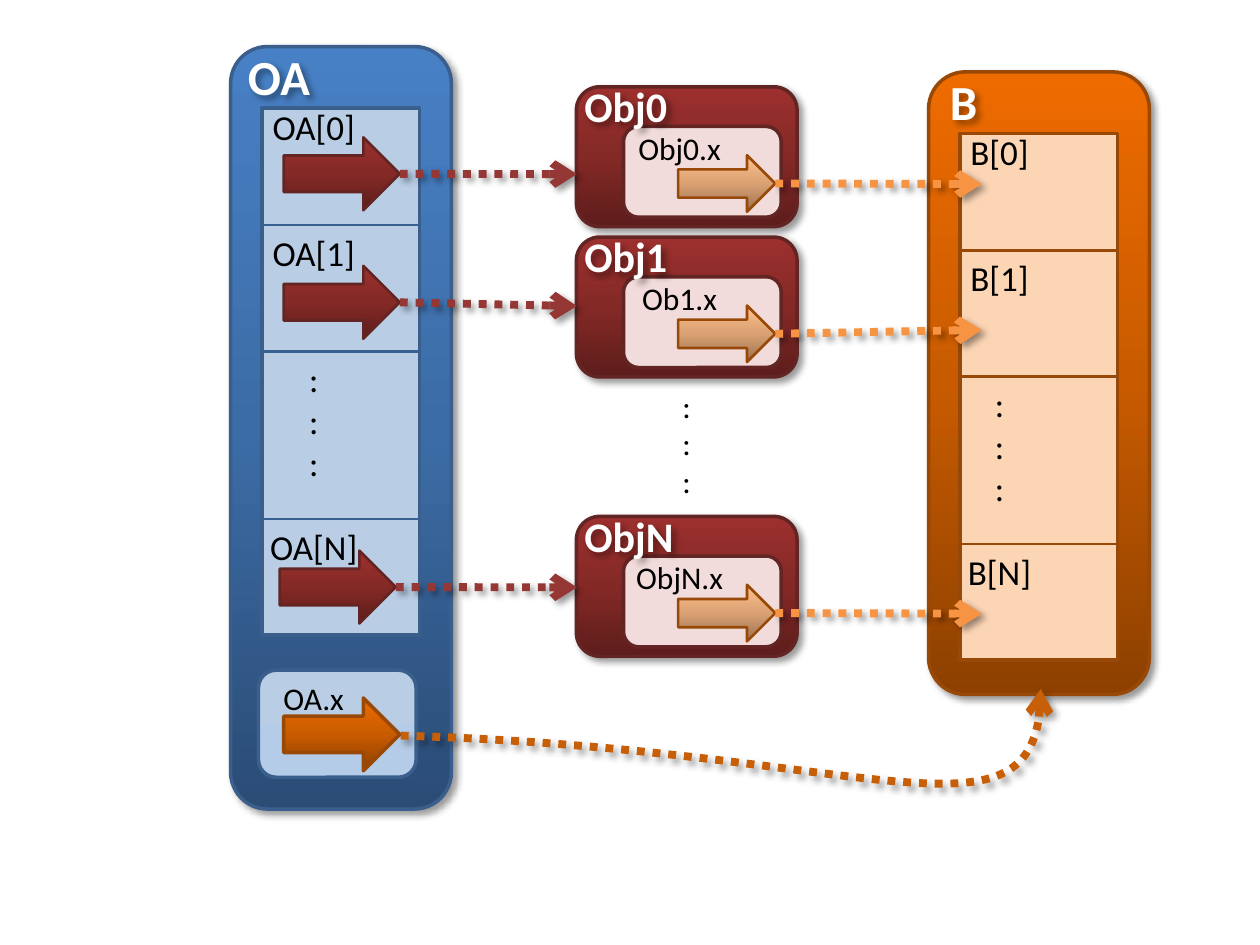
from dataclasses import dataclass

from lxml import etree
from pptx import Presentation
from pptx.dml.color import RGBColor
from pptx.enum.dml import MSO_LINE
from pptx.enum.shapes import MSO_CONNECTOR, MSO_SHAPE
from pptx.enum.text import MSO_AUTO_SIZE, PP_ALIGN
from pptx.oxml import parse_xml
from pptx.oxml.ns import nsdecls, qn
from pptx.util import Cm, Pt

ROUND, RECT, ARROW = MSO_SHAPE.ROUNDED_RECTANGLE, MSO_SHAPE.RECTANGLE, MSO_SHAPE.RIGHT_ARROW
STRAIGHT = MSO_CONNECTOR.STRAIGHT
DOTTED = MSO_LINE.ROUND_DOT
LEFT, CENTER = PP_ALIGN.LEFT, PP_ALIGN.CENTER
FIT = MSO_AUTO_SIZE.SHAPE_TO_FIT_TEXT
RIGHT_SITE = 3


@dataclass(frozen=True)
class Theme:
    font: str = "Calibri"
    black: str = "000000"
    white: str = "FFFFFF"
    blue: tuple = ("2A4C75", "3C6CA6", "4780C5")
    blue_line: str = "3A5F8C"
    blue_rule: str = "376092"
    blue_cell: str = "B9CDE5"
    blue_field: tuple = ("B5CCE8", "B9CDE5")
    red: tuple = ("5D1D1B", "842926", "9C302E")
    red_line: str = "632523"
    red_link: str = "953735"
    red_field: str = "F2DCDB"
    orange: tuple = ("8D4000", "C85B00", "EE6B00")
    orange_line: str = "984807"
    orange_cell: str = "FCD5B5"
    orange_curve: str = "C75F09"
    peach: tuple = ("997151", "DAA173", "FFC08B")
    peach_link: str = "F79443"
    heading: int = 28
    subheading: int = 24
    cell: int = 20
    field: int = 18
    border: float = 2
    thin: float = 1.5
    link: float = 4.5


T = Theme()


class Diagram:
    def __init__(self, slide, theme):
        self.s, self.t = slide, theme

    def outline(self, line, color, width):
        line.color.rgb = RGBColor.from_string(color)
        line.width = Pt(width)

    def shadow(self):
        return parse_xml(
            f'<a:effectLst {nsdecls("a")}><a:outerShdw blurRad="{Pt(4)}" dist="{Pt(3)}" '
            'dir="2700000" algn="tl" rotWithShape="0"><a:srgbClr val="000000">'
            '<a:alpha val="40000"/></a:srgbClr></a:outerShdw></a:effectLst>')

    def gradient(self, colors):
        last = len(colors) - 1
        stops = "".join(f'<a:gs pos="{100000 * i // last}"><a:srgbClr val="{c}"/></a:gs>'
                        for i, c in enumerate(colors))
        return parse_xml(f'<a:gradFill {nsdecls("a")}><a:gsLst>{stops}</a:gsLst>'
                         '<a:lin ang="16200000" scaled="0"/></a:gradFill>')

    def effects(self, spPr, shadow):
        for old in spPr.findall(qn("a:effectLst")):
            spPr.remove(old)
        if shadow:
            spPr.append(self.shadow())
        else:
            etree.SubElement(spPr, qn("a:effectLst"))

    def box(self, kind, x, y, w, h, fill, line, width=T.border, shadow=False):
        sp = self.s.shapes.add_shape(kind, Cm(x), Cm(y), Cm(w), Cm(h))
        if isinstance(fill, tuple):
            sp._element.spPr.find(qn("a:prstGeom")).addnext(self.gradient(fill))
        else:
            sp.fill.solid()
            sp.fill.fore_color.rgb = RGBColor.from_string(fill)
        self.outline(sp.line, line, width)
        self.effects(sp._element.spPr, shadow)
        return sp

    def text(self, x, y, w, h, lines, size, align=CENTER, heading=False, gaps=None):
        sp = self.s.shapes.add_textbox(Cm(x), Cm(y), Cm(w), Cm(h))
        tf = sp.text_frame
        tf.word_wrap, tf.auto_size = False, FIT
        color = self.t.white if heading else self.t.black
        style = {"name": self.t.font, "size": Pt(size), "bold": heading}
        for i, line in enumerate(lines):
            p = tf.paragraphs[0] if i == 0 else tf.add_paragraph()
            p.alignment = align
            if gaps:
                p.space_before = Pt(gaps[i])
            r = p.add_run()
            r.text = line
            for key, value in style.items():
                setattr(r.font, key, value)
            r.font.color.rgb = RGBColor.from_string(color)
        if heading:
            self.effects(sp._element.spPr, True)

    def heading(self, x, y, w, h, label, size):
        self.text(x, y, w, h, [label], size, LEFT, True)

    def rule(self, x, y, w, color):
        cn = self.s.shapes.add_connector(STRAIGHT, Cm(x), Cm(y), Cm(x + w), Cm(y))
        self.outline(cn.line, color, self.t.thin)
        self.effects(cn._element.spPr, False)

    def dotted(self, sp, color):
        self.outline(sp.line, color, self.t.link)
        sp.line.dash_style = DOTTED
        spPr = sp._element.spPr
        etree.SubElement(spPr.find(qn("a:ln")), qn("a:tailEnd"), type="arrow")
        self.effects(spPr, True)

    def link(self, source, x, y, color):
        cn = self.s.shapes.add_connector(STRAIGHT, 0, 0, Cm(x), Cm(y))
        cn.begin_connect(source, RIGHT_SITE)
        self.dotted(cn, color)

    def curve(self, start, bend1, bend2, end, bottom, color):
        fb = self.s.shapes.build_freeform(Cm(start[0]), Cm(start[1]))
        fb.add_line_segments([(Cm(bend1[0]), Cm(bottom)), (Cm(end[0]), Cm(end[1]))], close=False)
        sp = fb.convert_to_shape()
        sp.fill.background()
        segments = list(sp._element.iter(qn("a:lnTo")))
        bezier = etree.Element(qn("a:cubicBezTo"))
        for x, y in (bend1, bend2, end):
            etree.SubElement(bezier, qn("a:pt"), x=str(Cm(x) - sp.left), y=str(Cm(y) - sp.top))
        segments[0].addprevious(bezier)
        for segment in segments:
            segment.getparent().remove(segment)
        self.dotted(sp, color)

    def array(self, name, x, y, h, fill, cell, line, rule, indent, title_w, label_w):
        self.box(ROUND, x, y, 4.45, h, fill, line, shadow=True)
        self.heading(x + indent, y - 0.13, title_w, 1.45, name, self.t.heading)
        left, top = x + 0.63, y + 1.24
        self.box(RECT, left, top, 3.18, 10.62, cell, line)
        lines = [f"{name}[0]", f"{name}[1]", ":", ":", ":", f"{name}[N]"]
        row = self.t.cell * 1.2
        self.text(left - 0.1, top - 0.18, label_w, 9.65, lines, self.t.cell,
                  gaps=[0, 2 * row, 2 * row, 0, 0, row])
        for offset in (2.36, 4.9, 8.28):
            self.rule(left, top + offset, 3.18, rule)

    def pointer(self, x, y, fill, line, width=T.thin):
        return self.box(ARROW, x, y, 2.34, 1.47, fill, line, width)

    def record(self, name, field, y, field_w, title_w):
        x = 11.62
        self.box(ROUND, x, y, 4.45, 2.82, self.t.red, self.t.red_line, shadow=True)
        self.box(ROUND, x + 0.95, y + 0.8, 3.18, 1.83, self.t.red_field, self.t.red_line)
        self.text(13.7 - field_w / 2, y + 0.72, field_w, 1.02, [field], self.t.field)
        self.heading(x - 0.09, y - 0.25, title_w, 1.27, name, self.t.subheading)
        return self.box(ARROW, x + 2.05, y + 1.38, 1.96, 1.14, self.t.peach,
                        self.t.orange_line, self.t.thin)


prs = Presentation()
prs.slide_width, prs.slide_height = Cm(25.4), Cm(19.05)
d = Diagram(prs.slides.add_slide(prs.slide_layouts[6]), T)

d.array("OA", 4.65, 0.94, 15.37, T.blue, T.blue_cell, T.blue_line, T.blue_rule, 0.1, 1.78, 2.29)
d.box(ROUND, 5.21, 13.51, 3.18, 2.16, T.blue_field, T.blue_line)
d.text(5.46, 13.56, 1.73, 1.02, ["OA.x"], T.field)
d.pointer(5.72, 14.07, T.orange, T.orange_line, T.border)
d.array("B", 18.72, 1.45, 12.55, T.orange, T.orange_cell, T.orange_line, T.orange_line,
        0.18, 1.07, 1.8)
d.text(12.75, 7.67, 2.18, 2.57, [":"] * 3, T.field)

ROWS = [
    ("Obj0", "Obj0.x", 1.75, 2.18, 2.21, 5.72, 2.77, 3.51, 3.71),
    ("Obj1", "Ob1.x", 4.78, 2.03, 2.21, 5.72, 5.36, 6.17, 6.65),
    ("ObjN", "ObjN.x", 10.41, 2.29, 2.4, 5.64, 11.1, 11.84, 12.37),
]
for name, field, y, field_w, title_w, arrow_x, arrow_y, obj_y, cell_y in ROWS:
    element = d.pointer(arrow_x, arrow_y, T.red, T.red_line)
    member = d.record(name, field, y, field_w, title_w)
    d.link(element, 11.63, obj_y, T.red_link)
    d.link(member, 19.79, cell_y, T.peach_link)

d.curve((8.08, 14.83), (17.2, 15.09), (21.03, 17.35), (20.98, 13.89), 15.8, T.orange_curve)

prs.save("out.pptx")
